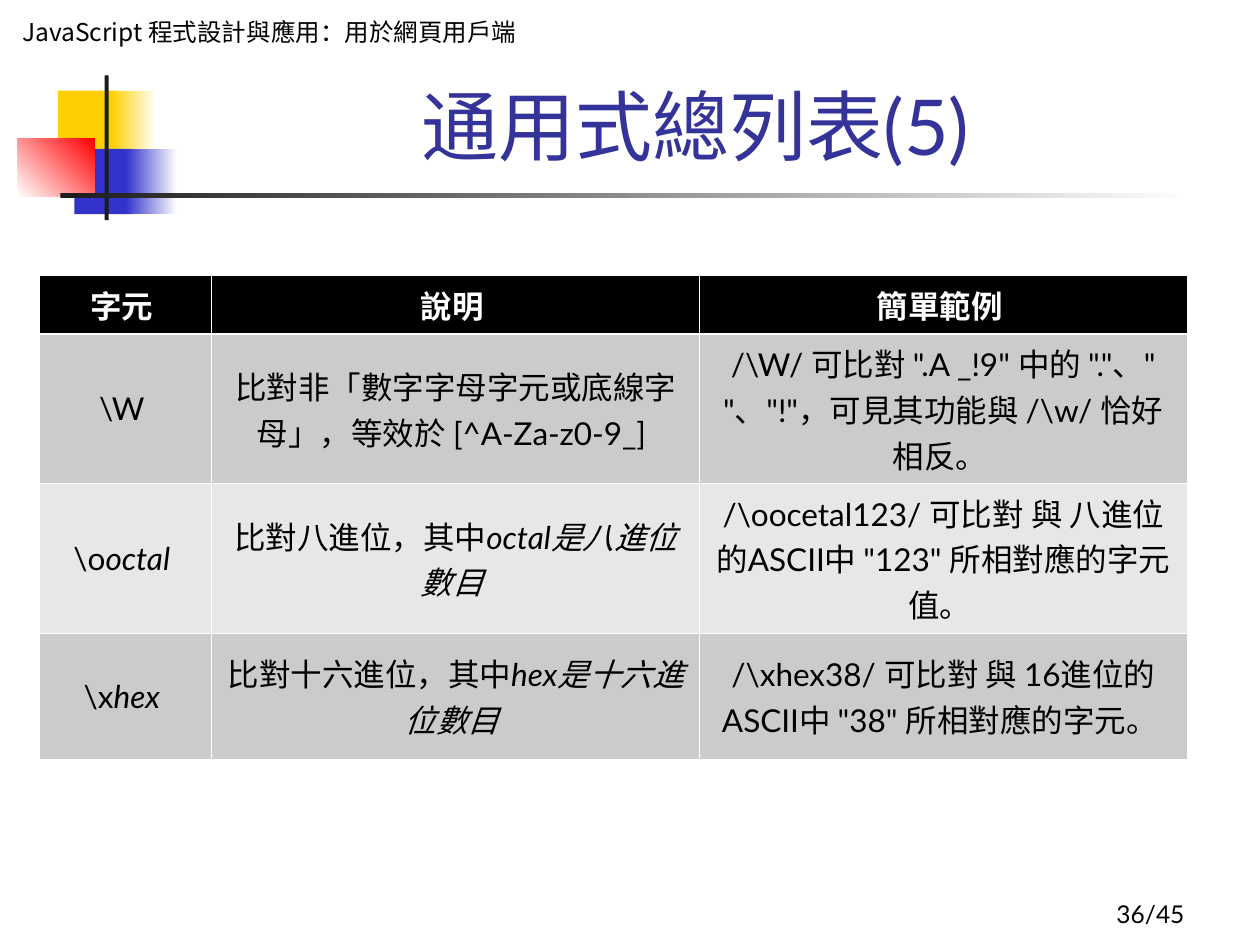
from lxml.etree import SubElement
from pptx import Presentation
from pptx.dml.color import RGBColor
from pptx.enum.shapes import MSO_SHAPE
from pptx.enum.text import MSO_ANCHOR as ANCHOR, MSO_AUTO_SIZE as AUTO, PP_ALIGN as ALIGN
from pptx.oxml.ns import qn
from pptx.util import Cm, Pt

YELLOW, BLUE, RED, DARK, WHITE = "FFCF01", "3333CC", "FF0000", "1C1C1C", "FFFFFF"

# left, top, width, height, colours (two make a gradient), angle
ORNAMENT = [
    (1.17, 1.83, 1.22, 1.32, [YELLOW], 0),
    (2.24, 1.83, 0.91, 1.32, [YELLOW, WHITE], 0),
    (1.5, 3, 1.17, 1.32, [BLUE], 0),
    (2.54, 3, 1.02, 1.32, [BLUE, WHITE], 0),
    (0.36, 2.79, 1.55, 1.17, [WHITE, RED], 45),
    (2.11, 1.52, 0.08, 2.92, [DARK], 0),
    (1.22, 3.89, 22.86, 0.1, [DARK, WHITE], 0),
]

# Each cell is its upright text, or a pair of upright and italic text
ROWS = [
    ["字元 ", "說明 ", "簡單範例 "],
    [r"\W ", "比對非「數字字母字元或底線字母」，等效於 [^A-Za-z0-9_] ",
     r'/\W/ 可比對 ".A _!9" 中的 "."、" "、"!"，可見其功能與 /\w/ 恰好相反。 '],
    [(r"\o", "octal "), ("比對八進位，其中", "octal是八進位數目 "),
     r'/\oocetal123/ 可比對 與 八進位的ASCII中 "123" 所相對應的字元值。 '],
    [(r"\x", "hex "), ("比對十六進位，其中", "hex是十六進位數目 "),
     r'/\xhex38/ 可比對 與 16進位的ASCII中 "38" 所相對應的字元。 '],
]


def rgb(value):
    return RGBColor.from_string(value)


class SlideBuilder:
    """Holds the style and the current slide."""
    font = "Lato"
    header_font = "Noto Sans CJK SC"
    text_color = "000000"
    title_color = "333399"
    header_fill = "000000"
    band_fills = ("CBCBCB", "E7E7E7")

    def __init__(self, slide):
        self.slide = slide

    def format(self, p, size, color=text_color, align=ALIGN.CENTER, font=font, bold=False):
        p.alignment = align
        p.font.name, p.font.size, p.font.bold = font, Pt(size), bold
        p.font.color.rgb = rgb(color)

    def rect(self, left, top, width, height, colors, angle=0):
        sp = self.slide.shapes.add_shape(
            MSO_SHAPE.RECTANGLE, Cm(left), Cm(top), Cm(width), Cm(height))
        sp.shadow.inherit = False
        sp.line.fill.background()
        if len(colors) == 1:
            sp.fill.solid()
            sp.fill.fore_color.rgb = rgb(colors[0])
        else:
            sp.fill.gradient()
            sp.fill.gradient_angle = angle
            for stop, color in zip(sp.fill.gradient_stops, colors):
                stop.color.rgb = rgb(color)
        return sp

    def header(self, text, left, top, width, height):
        tf = self.rect(left, top, width, height, [WHITE]).text_frame
        tf.vertical_anchor = ANCHOR.MIDDLE
        tf.text = text
        self.format(tf.paragraphs[0], 14, align=ALIGN.LEFT, font=self.header_font)

    def title(self, text, left, top, width, height):
        sp = self.slide.shapes.title
        sp.left, sp.top, sp.width, sp.height = Cm(left), Cm(top), Cm(width), Cm(height)
        tf = sp.text_frame
        tf.text = text
        tf.auto_size = AUTO.NONE
        tf.vertical_anchor = ANCHOR.BOTTOM
        self.format(tf.paragraphs[0], 44, self.title_color)

    def page_number(self, text, left, top, width, height):
        tf = self.slide.shapes.add_textbox(
            Cm(left), Cm(top), Cm(width), Cm(height)).text_frame
        tf.word_wrap = True
        tf.vertical_anchor = ANCHOR.BOTTOM
        tf.text = text
        self.format(tf.paragraphs[0], 14, align=ALIGN.RIGHT)

    def borders(self, cell, **widths):
        """Draw white borders; keys are the sides L, R, T and B, in that order."""
        tc_pr = cell._tc.get_or_add_tcPr()
        for side, width in widths.items():
            ln = SubElement(tc_pr, qn(f"a:ln{side}"), w=str(Pt(width)))
            fill = SubElement(ln, qn("a:solidFill"))
            SubElement(fill, qn("a:srgbClr"), val=WHITE)

    def table(self, rows, left, top, col_widths, row_heights):
        table = self.slide.shapes.add_table(
            len(rows), len(col_widths), Cm(left), Cm(top),
            Cm(sum(col_widths)), Cm(sum(row_heights))).table
        for column, width in zip(table.columns, col_widths):
            column.width = Cm(width)
        for i, (row, height) in enumerate(zip(rows, row_heights)):
            table.rows[i].height = Cm(height)
            for j, content in enumerate(row):
                self.cell(table.cell(i, j), content, i)

    def cell(self, cell, content, row):
        is_header = row == 0
        self.borders(cell, L=0.45, R=0.45, T=1.5 if row == 1 else 0.45,
                     B=1.5 if is_header else 0.45)
        cell.fill.solid()
        cell.fill.fore_color.rgb = rgb(
            self.header_fill if is_header else self.band_fills[(row - 1) % 2])
        cell.vertical_anchor = ANCHOR.MIDDLE
        p = cell.text_frame.paragraphs[0]
        upright, italic = (content, "") if isinstance(content, str) else content
        p.add_run().text = upright
        if italic:
            r = p.add_run()
            r.text = italic
            r.font.italic = True
        self.format(p, 18, WHITE if is_header else self.text_color, bold=is_header)


def main():
    prs = Presentation()
    prs.slide_width, prs.slide_height = Cm(25.4), Cm(19.05)
    s = SlideBuilder(prs.slides.add_slide(prs.slide_layouts[5]))
    for piece in ORNAMENT:
        s.rect(*piece)
    s.header("JavaScript 程式設計與應用：用於網頁用戶端", 0.2, 0.2, 11.89, 0.86)
    s.title("通用式總列表(5)", 3.2, 1.47, 21.64, 2.11)
    s.table(ROWS, 0.79, 5.56, [3.48, 9.83, 9.83], [1.02] + [2.54] * 3)
    s.page_number("36/45", 18.85, 17.58, 5.28, 1.27)
    prs.save("out.pptx")


if __name__ == "__main__":
    main()
